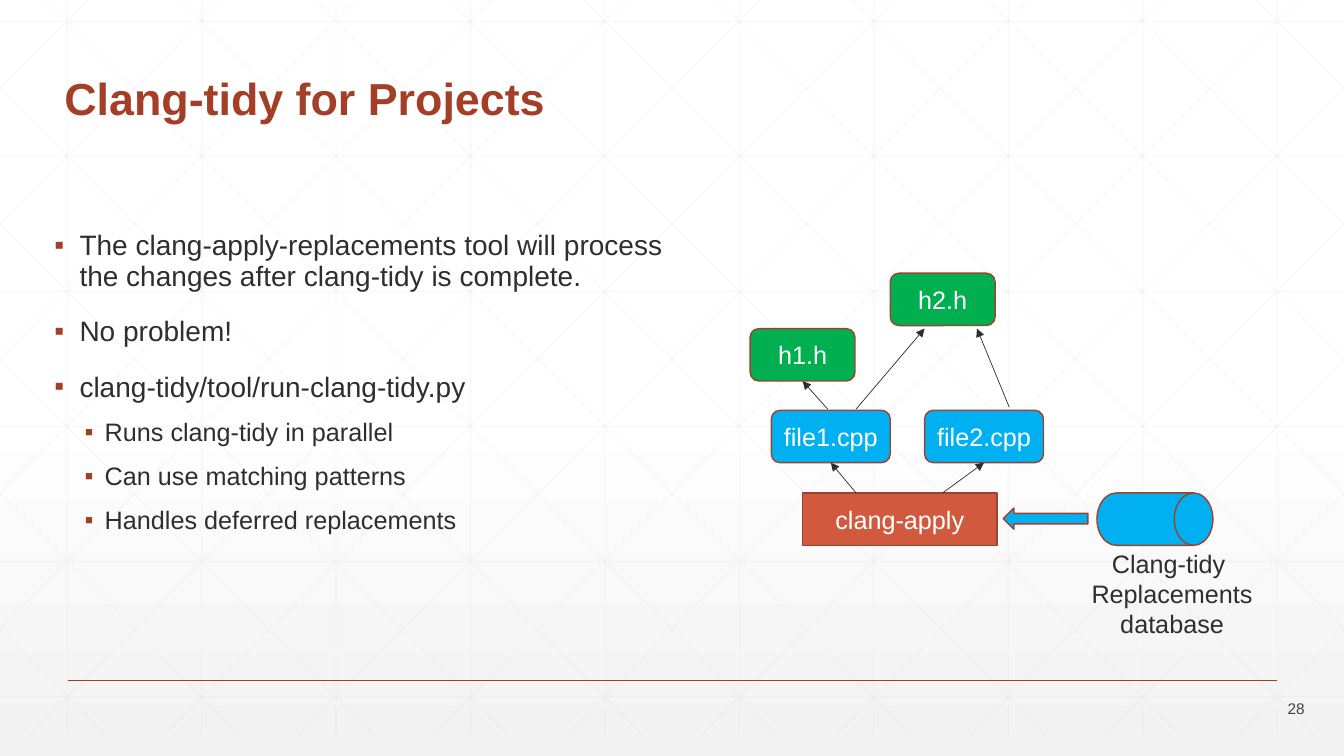
from dataclasses import dataclass
from typing import Any, Optional

from lxml import etree
from pptx import Presentation
from pptx import util as u
from pptx.dml.color import RGBColor
from pptx.enum import shapes, text
from pptx.oxml import ns

WIDTH, HEIGHT = 13.33, 7.5
KIND = shapes.MSO_SHAPE
ALIGN = text.PP_ALIGN
ANCHOR = text.MSO_ANCHOR


@dataclass(frozen=True)
class Theme:
    font: str = "Arial"
    accent: str = "A43F27"
    edge: str = "9B432E"
    ink: str = "2D2E2D"
    muted: str = "424342"
    light: str = "FFFFFF"
    fade: str = "F2F2F2"
    grid: str = "D9D9D9"
    red: str = "D15A3E"
    blue: str = "00B0F0"
    green: str = "00B050"
    title: float = 32
    body: float = 20
    label: float = 18
    note: float = 11
    thin: float = 0.5
    rule: float = 1


THEME = Theme()


@dataclass(frozen=True)
class Node:
    name: str
    kind: Any
    left: float
    top: float
    width: float
    height: float
    fill: str
    turn: float = 0


@dataclass(frozen=True)
class Link:
    start: tuple[float, float]
    end: tuple[float, float]
    goal: Optional[str] = None


@dataclass(frozen=True)
class Point:
    words: str
    level: int = 0


NODES = [
    Node("clang-apply", KIND.RECTANGLE, 7.96, 4.89, 1.93, 0.52, THEME.red),
    Node("file1.cpp", KIND.ROUNDED_RECTANGLE, 7.65, 4.07, 1.18, 0.52, THEME.blue),
    Node("h1.h", KIND.ROUNDED_RECTANGLE, 7.44, 3.26, 1.04, 0.52, THEME.green),
    Node("h2.h", KIND.ROUNDED_RECTANGLE, 8.83, 2.71, 1.04, 0.52, THEME.green),
    Node("file2.cpp", KIND.ROUNDED_RECTANGLE, 9.17, 4.07, 1.18, 0.52, THEME.blue),
    Node("", KIND.FLOWCHART_DIRECT_ACCESS_STORAGE, 10.88, 4.89, 1.15, 0.52, THEME.blue),
    Node("", KIND.RIGHT_ARROW, 9.95, 5.04, 0.84, 0.21, THEME.blue, 180),
]

LINKS = [
    Link((8.49, 4.89), (8.24, 4.59), "file1.cpp"),
    Link((9.35, 4.89), (9.76, 4.59), "file2.cpp"),
    Link((8.21, 4.06), (7.96, 3.78), "h1.h"),
    Link((8.49, 4.06), (9.17, 3.26)),
    Link((10.01, 4.04), (9.69, 3.26)),
]

POINTS = [
    Point("The clang-apply-replacements tool will process the changes after clang-tidy is complete."),
    Point("No problem!"),
    Point("clang-tidy/tool/run-clang-tidy.py"),
    Point("Runs clang-tidy in parallel", 1),
    Point("Can use matching patterns", 1),
    Point("Handles deferred replacements", 1),
]


def tint(code: str) -> RGBColor:
    return RGBColor.from_string(code)


def child(node: Any, tag: str, **attrs: str) -> Any:
    return etree.SubElement(node, ns.qn(tag), attrs)


def write(frame: Any, words: str, *, size: float = THEME.label, color: str = THEME.ink,
          bold: bool = False, align: Any = None, space: Optional[float] = None,
          before: Optional[float] = None) -> Any:
    first = frame.paragraphs[0]
    para = frame.add_paragraph() if first.runs else first
    run = para.add_run()
    run.text = words
    run.font.name = THEME.font
    run.font.size = u.Pt(size)
    run.font.bold = bold
    run.font.color.rgb = tint(color)
    para.alignment = align
    para.line_spacing = space
    para.space_before = None if before is None else u.Pt(before)
    return para


def mark(para: Any, level: int) -> None:
    para.level = level
    props = para._p.get_or_add_pPr()
    props.set("marL", str(u.Inches(0.25 + 0.25 * level)))
    props.set("indent", str(u.Inches(-0.25 + 0.05 * level)))
    child(child(props, "a:buClr"), "a:srgbClr", val=THEME.accent)
    child(props, "a:buFont", typeface=THEME.font)
    child(props, "a:buChar", char="▪")


def box(slide: Any, left: float, top: float, width: float, height: float,
        anchor: Any = ANCHOR.TOP, wrap: bool = True) -> Any:
    shape = slide.shapes.add_textbox(*map(u.Inches, (left, top, width, height)))
    frame = shape.text_frame
    frame.word_wrap = wrap
    frame.vertical_anchor = anchor
    return frame


def stroke(slide: Any, start: tuple[float, float], end: tuple[float, float],
           color: str, width: float, alpha: int = 100, head: bool = False) -> Any:
    line = slide.shapes.add_connector(
        shapes.MSO_CONNECTOR.STRAIGHT, *map(u.Inches, (*start, *end)))
    line.line.color.rgb = tint(color)
    line.line.width = u.Pt(width)
    edge = line.line._get_or_add_ln()
    if alpha < 100:
        child(edge.find(".//" + ns.qn("a:srgbClr")), "a:alpha", val=str(alpha * 1000))
    if head:
        child(edge, "a:tailEnd", type="triangle")
    child(line._element.spPr, "a:effectLst")
    return line


def draw(slide: Any, node: Node) -> Any:
    shape = slide.shapes.add_shape(
        node.kind, *map(u.Inches, (node.left, node.top, node.width, node.height)))
    shape.shadow.inherit = False
    shape.rotation = node.turn
    shape.fill.solid()
    shape.fill.fore_color.rgb = tint(node.fill)
    shape.line.color.rgb = tint(THEME.edge)
    shape.line.width = u.Pt(THEME.rule)
    if node.name:
        frame = shape.text_frame
        frame.vertical_anchor = ANCHOR.MIDDLE
        frame.word_wrap = False
        write(frame, node.name, color=THEME.light, align=ALIGN.CENTER)
    return shape


def mesh(slide: Any) -> None:
    top, base, run = -0.21, 7.29, 7.455
    step = 4 / 3
    rise = (base - top) / run
    ends = [((step * (i + 0.5), top), (step * (i + 0.5), base)) for i in range(10)]
    ends += [((0, 0.21 + 1.34 * i), (WIDTH, 0.21 + 1.34 * i)) for i in range(6)]
    for i in range(-5, 10):
        x = 0.25 + step * i
        left, right = max(x, 0), min(x + run, WIDTH)
        low, high = top + (left - x) * rise, top + (right - x) * rise
        ends += [((left, low), (right, high)),
                 ((WIDTH - left, low), (WIDTH - right, high))]
    for start, end in ends:
        stroke(slide, start, end, THEME.grid, THEME.thin, alpha=25)


def shade(slide: Any) -> None:
    fill = slide.background.fill
    fill.gradient()
    fill.gradient_angle = 270
    for stop, place, color in zip(fill.gradient_stops, (0.53, 1), (THEME.light, THEME.fade)):
        stop.position = place
        stop.color.rgb = tint(color)


def main() -> None:
    deck = Presentation()
    deck.slide_width, deck.slide_height = u.Inches(WIDTH), u.Inches(HEIGHT)
    slide = deck.slides.add_slide(deck.slide_layouts[6])
    shade(slide)
    mesh(slide)
    stroke(slide, (0.67, 6.75), (12.67, 6.75), THEME.accent, THEME.rule)
    write(box(slide, 0.54, 0.33, 10.5, 0.96, ANCHOR.BOTTOM), "Clang-tidy for Projects",
          size=THEME.title, color=THEME.accent, bold=True, space=0.9)
    write(box(slide, 12.04, 6.91, 1, 0.24, ANCHOR.MIDDLE), "28",
          size=THEME.note, color=THEME.muted, align=ALIGN.RIGHT)
    body = box(slide, 0.44, 2.25, 6.32, 4.25)
    for point in POINTS:
        size, gap = (THEME.label, 12) if point.level else (THEME.body, 18)
        mark(write(body, point.words, size=size, space=0.9, before=gap), point.level)
    drawn = {node.name: draw(slide, node) for node in NODES}
    for link in LINKS:
        line = stroke(slide, link.start, link.end, THEME.ink, THEME.thin, head=True)
        if link.goal:
            line.end_connect(drawn[link.goal], 2)
    label = box(slide, 10.72, 5.39, 1.81, 1.01, wrap=False)
    for words in ("Clang-tidy ", "Replacements", "database"):
        write(label, words, align=ALIGN.CENTER)
    deck.save("out.pptx")


if __name__ == "__main__":
    main()
